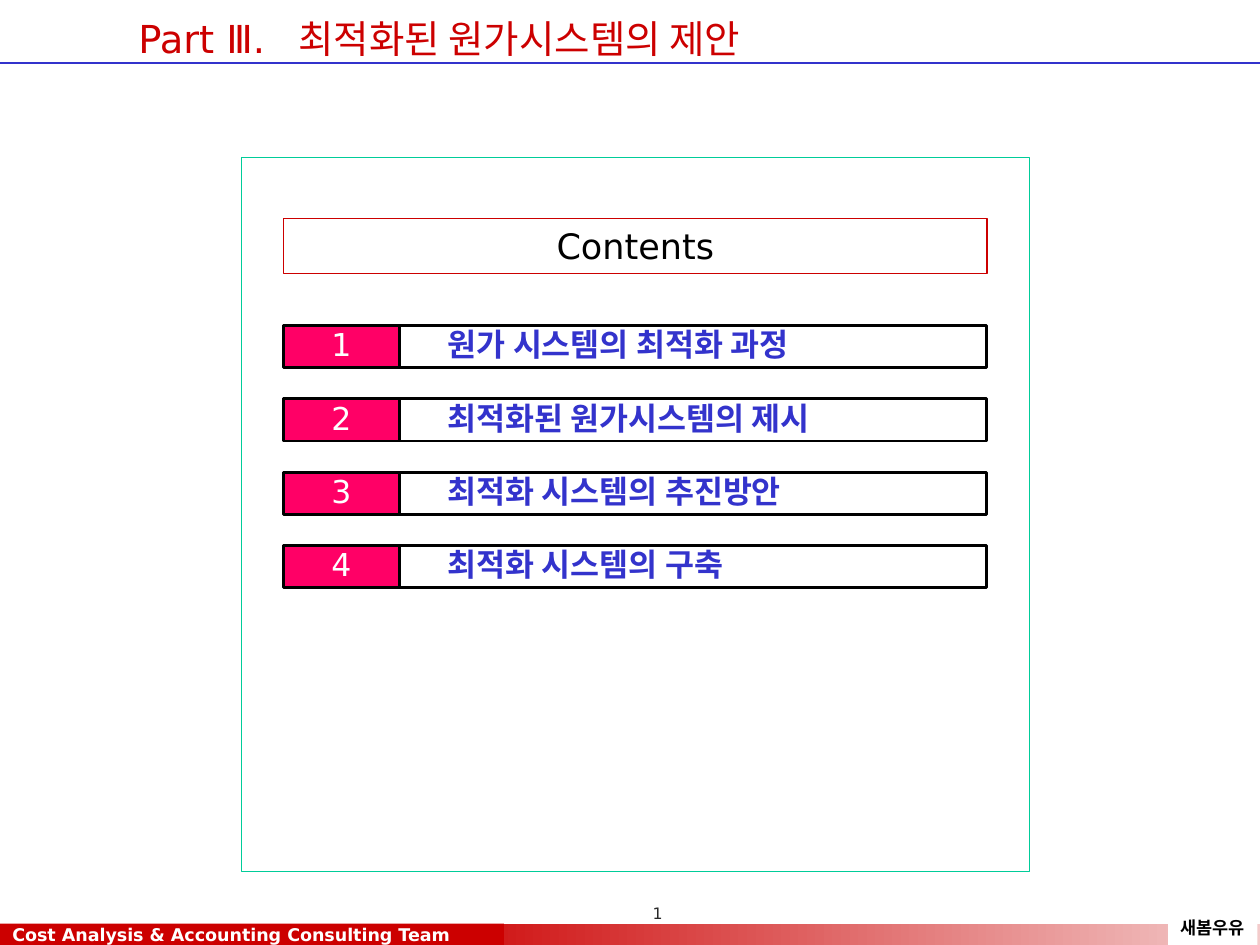
"""Build the contents slide for the cost system proposal."""
from lxml import etree
from pptx import Presentation
from pptx import util as u
from pptx.dml.color import RGBColor
from pptx.enum import shapes, text
from pptx.oxml.ns import qn

RED, BLUE, PINK, WHITE, BLACK = "CC0000", "3333CC", "FF0066", "FFFFFF", "000000"
LATIN, KOREAN = "DejaVu Sans", "Noto Sans CJK KR"
LEFT, CENTER = text.PP_ALIGN.LEFT, text.PP_ALIGN.CENTER
TOP, MIDDLE = text.MSO_ANCHOR.TOP, text.MSO_ANCHOR.MIDDLE
RECTANGLE = shapes.MSO_SHAPE.RECTANGLE
TOPICS = [
    "원가 시스템의 최적화 과정",
    "최적화된 원가시스템의 제시",
    "최적화 시스템의 추진방안",
    "최적화 시스템의 구축",
]


def color(value):
    """Return the colour for a hex string."""
    return RGBColor.from_string(value)


def place(shape, left, top, width, height):
    """Move and size a shape, in centimetres."""
    shape.left, shape.top = u.Cm(left), u.Cm(top)
    shape.width, shape.height = u.Cm(width), u.Cm(height)


def write(shape, words, size, ink, bold=False, align=LEFT, anchor=MIDDLE,
          spacing=1.0, indent=0.25, wrap=False, font=LATIN):
    """Put one formatted paragraph into a shape."""
    frame = shape.text_frame
    frame.word_wrap = wrap
    frame.vertical_anchor = anchor
    frame.margin_left, frame.margin_right = u.Cm(indent), u.Cm(0.25)
    frame.margin_top = frame.margin_bottom = u.Cm(0.13)
    paragraph = frame.paragraphs[0]
    paragraph.text = words
    paragraph.alignment = align
    paragraph.line_spacing = spacing
    paragraph.font.size = u.Pt(size)
    paragraph.font.name = font
    paragraph.font.bold = bold
    paragraph.font.color.rgb = color(ink)


def add_box(slide, bounds, fill=None, line=None, weight=0.75, kind=RECTANGLE):
    """Add a flat box with an optional fill and outline."""
    shape = slide.shapes.add_shape(kind, *map(u.Cm, bounds))
    shape.shadow.inherit = False
    if fill:
        shape.fill.solid()
        shape.fill.fore_color.rgb = color(fill)
    else:
        shape.fill.background()
    if line:
        shape.line.color.rgb = color(line)
        shape.line.width = u.Pt(weight)
    else:
        shape.line.fill.background()
    return shape


def add_title(slide):
    """Format the title, with a tab stop after the part number."""
    title = slide.shapes.title
    place(title, 2.54, 0, 19.69, 1.27)
    properties = title.text_frame.paragraphs[0]._p.get_or_add_pPr()
    tabs = etree.SubElement(properties, qn("a:tabLst"))
    etree.SubElement(tabs, qn("a:tab"), pos=str(u.Cm(3.23)), algn="l")
    title.text_frame.auto_size = text.MSO_AUTO_SIZE.NONE
    write(title, "Part Ⅲ.\t최적화된 원가시스템의 제안", 22, RED, spacing=1.3, wrap=True)


def add_rule(slide):
    """Draw the line under the title."""
    rule = slide.shapes.add_connector(
        shapes.MSO_CONNECTOR.STRAIGHT, 0, u.Cm(1.27), u.Cm(25.4), u.Cm(1.27))
    rule.line.color.rgb = color(BLUE)
    rule.line.width = u.Pt(0.75)
    etree.SubElement(rule._element.spPr, qn("a:effectLst"))


def add_footer(slide):
    """Add the gradient band, team name, client name and page number."""
    band = add_box(slide, (7.82, 18.62, 17.58, 0.43))
    band.fill.gradient()
    band.fill.gradient_angle = 180
    for stop, value in zip(band.fill.gradient_stops, ("F3CBCB", RED)):
        stop.color.rgb = color(value)
        stop.position = 0 if value != RED else 1
    team = add_box(slide, (0, 18.62, 10.16, 0.43), RED)
    write(team, "Cost Analysis & Accounting Consulting Team", 10, WHITE, bold=True)
    client = add_box(slide, (23.55, 18.36, 1.8, 0.69), WHITE)
    write(client, "새봄우유", 10, BLACK, bold=True, align=CENTER, anchor=TOP, font=KOREAN)
    number = slide.shapes.add_textbox(*map(u.Cm, (11.23, 18.08, 3.81, 0.64)))
    write(number, "1", 9, "292929", align=CENTER, anchor=TOP, indent=0.5, wrap=True)


def add_topic(slide, number, topic):
    """Add one numbered row of the contents."""
    top = 6.56 + (number - 1) * 1.48
    rounded = shapes.MSO_SHAPE.ROUNDED_RECTANGLE
    label = add_box(slide, (8.04, top, 11.85, 0.85), WHITE, BLACK, 1.5, rounded)
    write(label, topic, 18, BLUE, bold=True, spacing=0.9, indent=0.99)
    badge = add_box(slide, (5.72, top, 2.33, 0.85), PINK, BLACK, 1.5, rounded)
    write(badge, str(number), 18, WHITE, align=CENTER, spacing=0.9)
    for shape in (label, badge):
        shape.adjustments[0] = 0


def main():
    """Build and save the slide."""
    presentation = Presentation()
    presentation.slide_width, presentation.slide_height = u.Cm(25.4), u.Cm(19.05)
    slide = presentation.slides.add_slide(presentation.slide_layouts[5])
    add_rule(slide)
    add_footer(slide)
    add_title(slide)
    add_box(slide, (4.87, 3.18, 15.88, 14.39), line="00CC99")
    heading = add_box(slide, (5.72, 4.4, 14.18, 1.11), line=RED)
    write(heading, "Contents", 20, BLACK, align=CENTER, anchor=TOP, wrap=True)
    for number, topic in enumerate(TOPICS, 1):
        add_topic(slide, number, topic)
    presentation.save("out.pptx")


if __name__ == "__main__":
    main()
